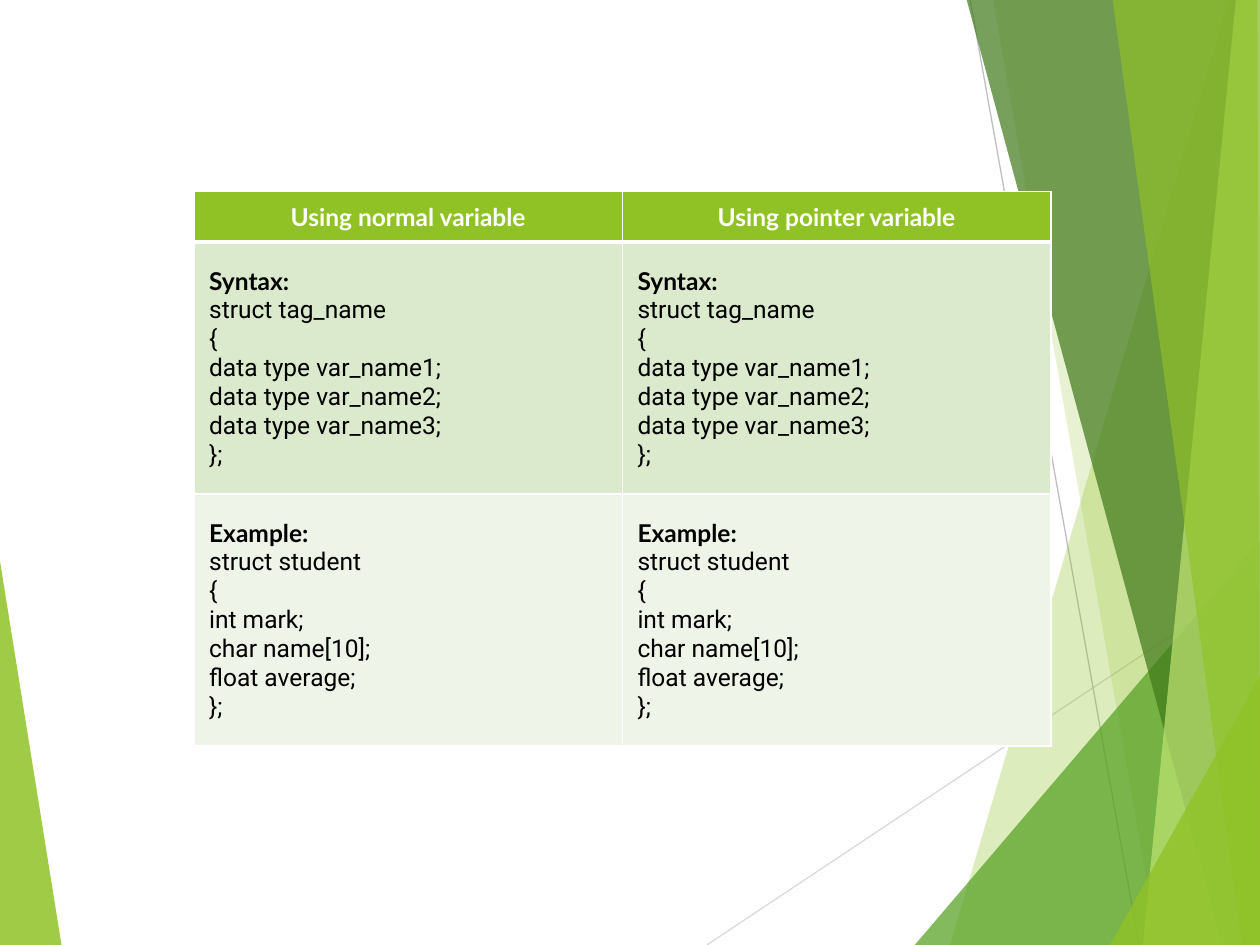
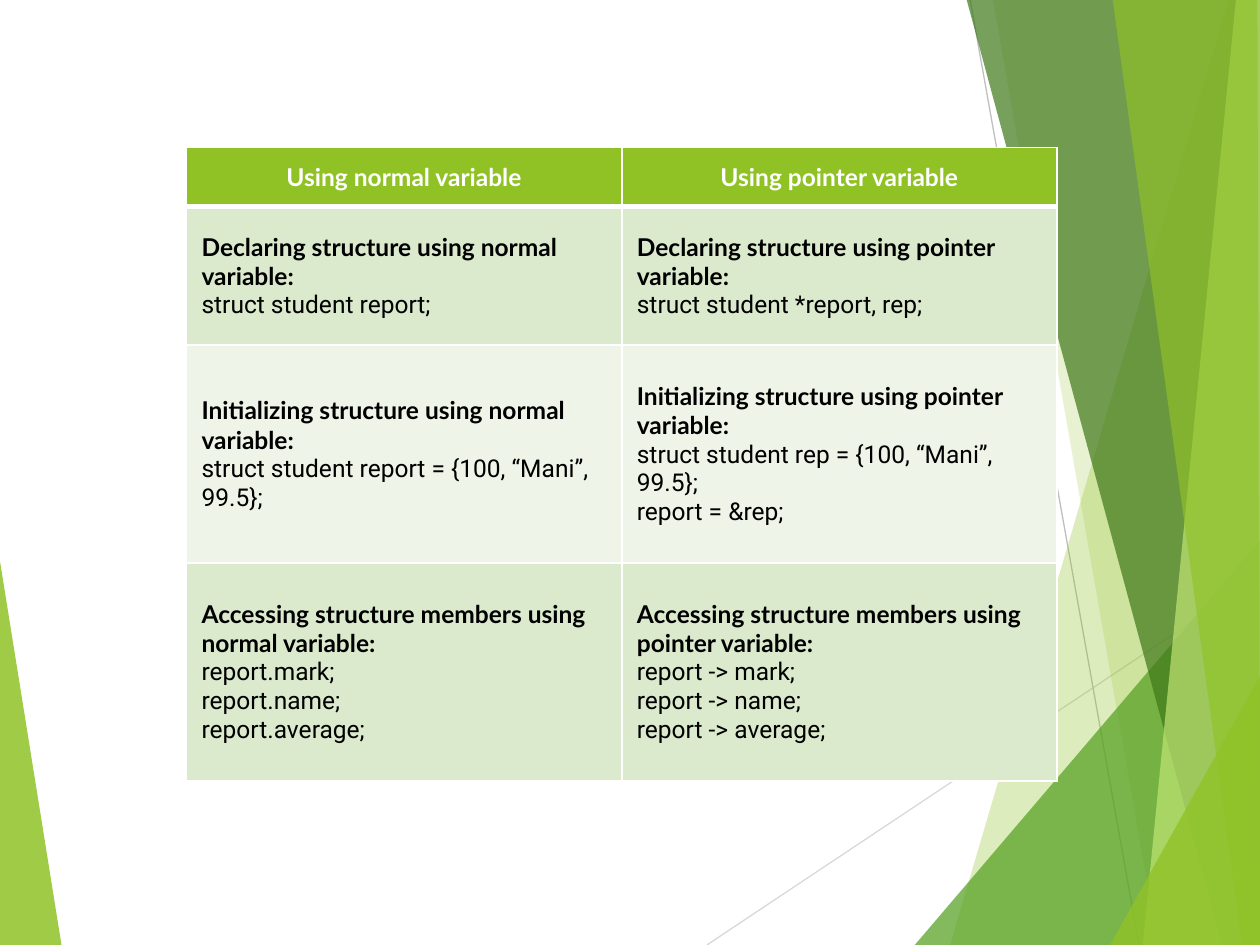
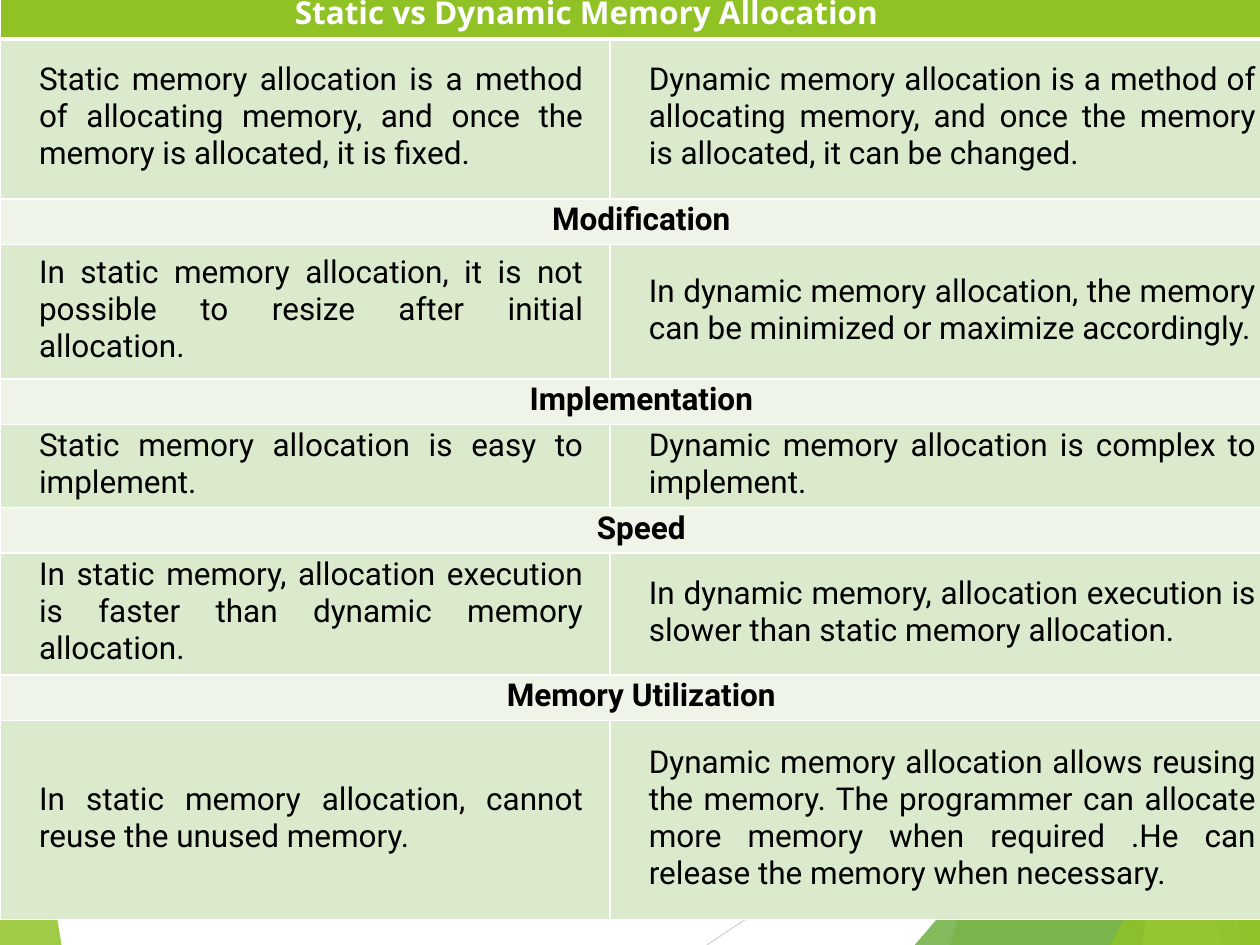
import copy
import dataclasses
import typing

import lxml.etree
import pptx
import pptx.dml.color
import pptx.enum.shapes
import pptx.enum.text
import pptx.oxml.ns
import pptx.shapes.group
import pptx.slide
import pptx.table
import pptx.util

qn = pptx.oxml.ns.qn
Align = pptx.enum.text.PP_ALIGN

# Slide size and a grid of 100 columns by 75 rows
WIDTH, HEIGHT = pptx.util.Inches(10), pptx.util.Inches(7.5)
COLUMN, ROW = WIDTH / 100, HEIGHT / 75
BLANK_LAYOUT = 6


# Theme
class TextStyle(typing.NamedTuple):
    font: str
    size: int
    color: str
    bold: bool = False


@dataclasses.dataclass(frozen=True)
class Theme:
    lime: str = "90C226"
    green: str = "54A021"
    forest: str = "3F7819"
    light_lime: str = "C0E474"
    silver: str = "D9D9D9"
    gray: str = "BFBFBF"
    border: str = "FFFFFF"
    bands: tuple[str, str] = ("EEF4E8", "DBE9CD")
    border_width: float = 1
    header_border_width: float = 3
    hairline: float = 0.75
    header: TextStyle = TextStyle("Lato", 14, "FFFFFF", True)
    label: TextStyle = TextStyle("Lato", 14, "000000", True)
    code: TextStyle = TextStyle("Roboto", 14, "000000")
    title: TextStyle = TextStyle("Open Sans", 18, "FFFFFF", True)
    section: TextStyle = TextStyle("Roboto", 18, "000000", True)
    prose: TextStyle = TextStyle("Roboto", 18, "000000")


THEME = Theme()


# Background facets and lines, in grid units
class Facet(typing.NamedTuple):
    color: str
    opacity: int
    points: tuple[tuple[float, float], ...]


class Ray(typing.NamedTuple):
    color: str
    start: tuple[float, float]
    end: tuple[float, float]


BACKGROUND: tuple[Facet | Ray, ...] = (
    Facet(THEME.lime, 85, ((-0.1, 43.9), (4.9, 75.1), (-0.1, 75))),
    Ray(THEME.silver, (56.1, 75), (100.1, 45.7)),
    Ray(THEME.gray, (77, 0), (90.4, 75)),
    Facet(THEME.lime, 30, ((97.5, 0), (75.4, 75), (100.2, 75.1), (100.1, 0))),
    Facet(THEME.lime, 20, ((78.8, -0.1), (91.9, 75), (100.1, 75), (100.1, -0.1))),
    Facet(THEME.green, 72, ((72.6, 75), (100, 42.9), (100.1, 75))),
    Facet(THEME.forest, 70, ((76.7, -0.1), (97, 75), (100.1, 75), (100.1, -0.1))),
    Facet(THEME.light_lime, 70, ((98.1, -0.1), (90.7, 75), (100.1, 75), (100, -0.1))),
    Facet(THEME.lime, 65, ((88.3, -0.1), (98.6, 75), (100, 75), (99.8, -0.1))),
    Facet(THEME.lime, 80, ((88.1, 75), (100.1, 53.5), (100.1, 75))),
)


# Table content
class Margins(typing.NamedTuple):
    left: float
    top: float
    right: float
    bottom: float


CODE_MARGINS = Margins(0.12, 0.05, 0.12, 0.05)
TITLE_MARGINS = Margins(2.34, 0.01, 0.21, 0.04)
SECTION_MARGINS = Margins(0.21, 0.01, 0.21, 0.04)
PROSE_MARGINS = Margins(0.31, 0.01, 0.21, 0.04)


class CellText(typing.NamedTuple):
    lines: tuple[tuple[str, TextStyle], ...]
    align: Align
    margins: Margins


@dataclasses.dataclass(frozen=True)
class Comparison:
    """A table in grid units; a row with one cell spans all columns."""
    left: float
    top: float
    columns: tuple[float, ...]
    rows: tuple[float, ...]
    cells: tuple[tuple[CellText, ...], ...]


def header(text: str) -> CellText:
    return CellText(((text, THEME.header),), Align.CENTER, CODE_MARGINS)


def code(label: str, *lines: str) -> CellText:
    code_lines = tuple((line, THEME.code) for line in lines)
    return CellText(((label, THEME.label), *code_lines), Align.LEFT, CODE_MARGINS)


def title(text: str) -> CellText:
    return CellText(((text, THEME.title),), Align.LEFT, TITLE_MARGINS)


def section(text: str) -> CellText:
    return CellText(((text, THEME.section),), Align.CENTER, SECTION_MARGINS)


def prose(text: str) -> CellText:
    return CellText(((text, THEME.prose),), Align.JUSTIFY, PROSE_MARGINS)


VARIABLE_HEADERS = (header("Using normal variable"), header("Using pointer variable"))
SYNTAX = code("Syntax:", "struct tag_name", "{", "data type var_name1;",
              "data type var_name2;", "data type var_name3;", "};")
EXAMPLE = code("Example:", "struct student", "{", "int mark;",
               "char name[10];", "float average;", "};")

COMPARISONS = (
    Comparison(15.4, 15.2, (34, 34), (4, 20, 20), (
        VARIABLE_HEADERS,
        (SYNTAX, SYNTAX),
        (EXAMPLE, EXAMPLE),
    )),
    Comparison(14.8, 11.7, (34.55, 34.55), (4.7, 11, 17.3, 17.3), (
        VARIABLE_HEADERS,
        (code("Declaring structure using normal variable:", "struct student report;"),
         code("Declaring structure using pointer variable:",
              "struct student *report, rep;")),
        (code("Initializing structure using normal variable:",
              "struct student report = {100, “Mani”, 99.5};"),
         code("Initializing structure using pointer variable:",
              "struct student rep = {100, “Mani”, 99.5};", "report = &rep;")),
        (code("Accessing structure members using normal variable:",
              "report.mark;", "report.name;", "report.average;"),
         code("Accessing structure members using pointer variable:",
              "report -> mark;", "report -> name;", "report -> average;")),
    )),
    Comparison(0, -0.8, (48.4, 53.4),
               (3.6, 12.7, 3.6, 10.7, 3.6, 6.6, 3.6, 9.7, 3.6, 15.8), (
        (title("Static vs Dynamic Memory Allocation"),),
        (prose("Static memory allocation is a method of allocating memory, "
               "and once the memory is allocated, it is fixed."),
         prose("Dynamic memory allocation is a method of allocating memory, "
               "and once the memory is allocated, it can be changed.")),
        (section("Modification"),),
        (prose("In static memory allocation, it is not possible to resize "
               "after initial allocation."),
         prose("In dynamic memory allocation, the memory can be minimized "
               "or maximize accordingly.")),
        (section("Implementation"),),
        (prose("Static memory allocation is easy to implement."),
         prose("Dynamic memory allocation is complex to implement.")),
        (section("Speed"),),
        (prose("In static memory, allocation execution is faster than "
               "dynamic memory allocation."),
         prose("In dynamic memory, allocation execution is slower than "
               "static memory allocation.")),
        (section("Memory Utilization"),),
        (prose("In static memory allocation, cannot reuse the unused memory."),
         prose("Dynamic memory allocation allows reusing the memory. "
               "The programmer can allocate more memory when required "
               ".He can release the memory when necessary.")),
    )),
)


# Drawing helpers
def rgb(color: str) -> pptx.dml.color.RGBColor:
    return pptx.dml.color.RGBColor.from_string(color)


def across(columns: float) -> int:
    return round(columns * COLUMN)


def down(rows: float) -> int:
    return round(rows * ROW)


def draw_facet(group: pptx.shapes.group.GroupShape, facet: Facet) -> None:
    first, *others = [(across(x), down(y)) for x, y in facet.points]
    builder = group.shapes.build_freeform(*first)
    builder.add_line_segments(others, close=True)
    shape = builder.convert_to_shape()
    shape.shadow.inherit = False
    shape.line.fill.background()
    shape.fill.solid()
    shape.fill.fore_color.rgb = rgb(facet.color)
    color = shape.element.spPr.find(qn("a:solidFill"))[0]
    lxml.etree.SubElement(color, qn("a:alpha"), val=str(facet.opacity * 1000))


def draw_ray(group: pptx.shapes.group.GroupShape, ray: Ray) -> None:
    (x1, y1), (x2, y2) = ray.start, ray.end
    connector = group.shapes.add_connector(
        pptx.enum.shapes.MSO_CONNECTOR.STRAIGHT,
        across(x1), down(y1), across(x2), down(y2))
    connector.line.color.rgb = rgb(ray.color)
    connector.line.width = pptx.util.Pt(THEME.hairline)
    lxml.etree.SubElement(connector.element.spPr, qn("a:effectLst"))


def move_background_to_master(slide: pptx.slide.Slide,
                              master: pptx.slide.SlideMaster) -> None:
    group = slide.shapes.add_group_shape()
    for part in BACKGROUND:
        if isinstance(part, Facet):
            draw_facet(group, part)
        else:
            draw_ray(group, part)
    # Keep shape numbers clear of the master's placeholders
    for number, properties in enumerate(group.element.iter(qn("p:cNvPr")), 100):
        properties.set("id", str(number))
    master.shapes.element.insert(2, group.element)


def set_borders(cell: pptx.table._Cell, bottom_width: float) -> None:
    properties = cell._tc.get_or_add_tcPr()
    widths = {"lnL": THEME.border_width, "lnR": THEME.border_width,
              "lnT": THEME.border_width, "lnB": bottom_width}
    for position, (side, width) in enumerate(widths.items()):
        line = lxml.etree.Element(qn(f"a:{side}"), w=str(int(pptx.util.Pt(width))))
        fill = lxml.etree.SubElement(line, qn("a:solidFill"))
        lxml.etree.SubElement(fill, qn("a:srgbClr"), val=THEME.border)
        properties.insert(position, line)


def write_cell(cell: pptx.table._Cell, content: CellText) -> None:
    cell.vertical_anchor = pptx.enum.text.MSO_ANCHOR.MIDDLE
    cell.margin_left, cell.margin_top, cell.margin_right, cell.margin_bottom = (
        pptx.util.Inches(margin) for margin in content.margins)
    paragraph = cell.text_frame.paragraphs[0]
    paragraph.alignment = content.align
    for index, (text, style) in enumerate(content.lines):
        if index:
            paragraph.add_line_break()
        run = paragraph.add_run()
        run.text = text
        run.font.name = style.font
        run.font.size = pptx.util.Pt(style.size)
        run.font.bold = style.bold
        run.font.color.rgb = rgb(style.color)


def draw_comparison(slide: pptx.slide.Slide, comparison: Comparison) -> None:
    frame = slide.shapes.add_table(
        len(comparison.rows), len(comparison.columns),
        across(comparison.left), down(comparison.top),
        across(sum(comparison.columns)), down(sum(comparison.rows)))
    table = frame.table
    table.horz_banding = False
    for column, width in zip(table.columns, comparison.columns):
        column.width = across(width)
    for row, height in zip(table.rows, comparison.rows):
        row.height = down(height)

    for index, (row, contents) in enumerate(zip(table.rows, comparison.cells)):
        cells = list(row.cells)
        for cell in cells:
            cell.fill.solid()
            cell.fill.fore_color.rgb = rgb(THEME.bands[index % 2] if index else THEME.lime)
            set_borders(cell, THEME.border_width if index else THEME.header_border_width)
        if len(contents) == 1:
            cells[0].merge(cells[-1])
        for cell, content in zip(cells, contents):
            write_cell(cell, content)

    # Line breaks take the type size of the run before them
    for line_break in frame.element.iter(qn("a:br")):
        run_properties = line_break.getprevious().find(qn("a:rPr"))
        line_break.append(copy.deepcopy(run_properties))


def main() -> None:
    presentation = pptx.Presentation()
    presentation.slide_width, presentation.slide_height = WIDTH, HEIGHT
    layout = presentation.slide_layouts[BLANK_LAYOUT]
    slides = [presentation.slides.add_slide(layout) for _ in COMPARISONS]
    move_background_to_master(slides[0], presentation.slide_master)
    for slide, comparison in zip(slides, COMPARISONS):
        draw_comparison(slide, comparison)
    presentation.save("out.pptx")


if __name__ == "__main__":
    main()
